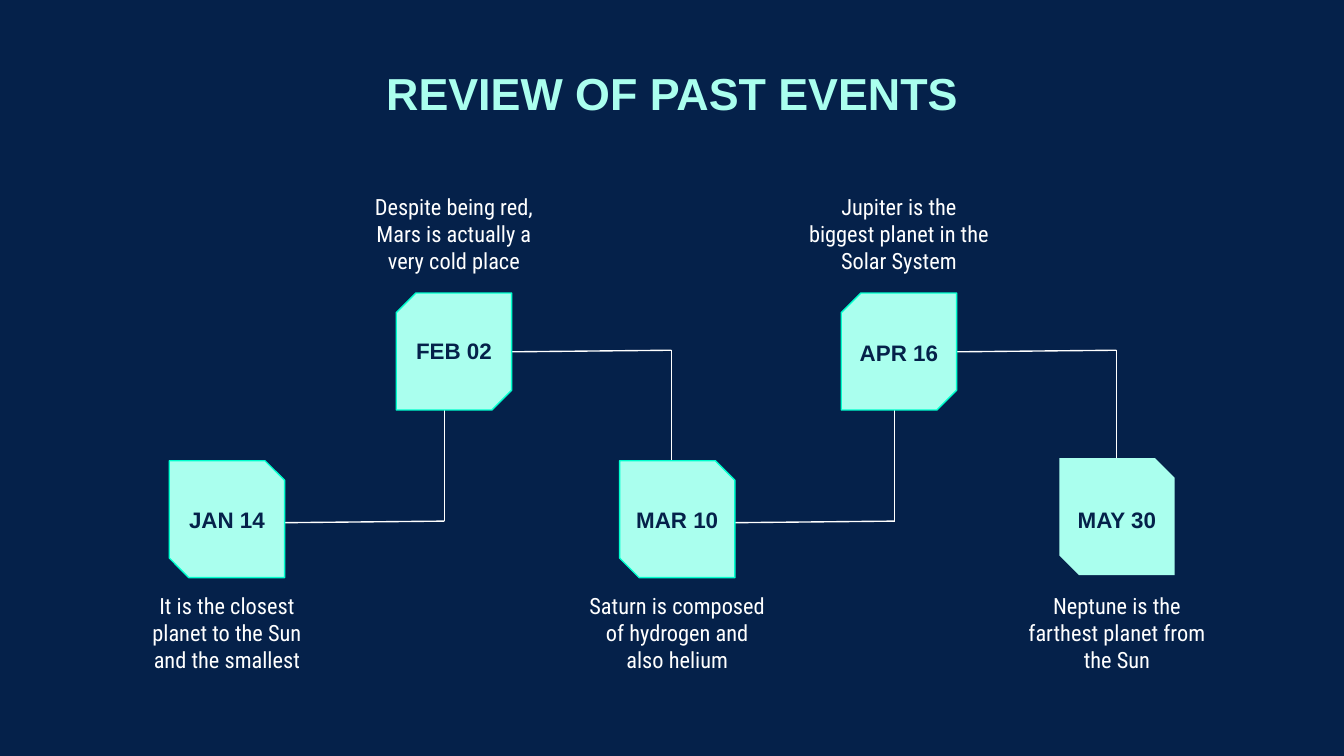
from lxml.etree import SubElement
from pptx import Presentation
from pptx.dml.color import RGBColor
from pptx.enum.shapes import MSO_CONNECTOR as Connector, MSO_SHAPE as Shape
from pptx.enum.text import MSO_ANCHOR as Anchor, MSO_AUTO_SIZE as AutoSize, PP_ALIGN as Align
from pptx.oxml.ns import qn
from pptx.util import Cm, Pt

NAVY = RGBColor(0x05, 0x21, 0x4A)
MINT = RGBColor(0xAA, 0xFF, 0xEE)
TEAL = RGBColor(0x00, 0xFF, 0xCD)
WHITE = RGBColor(0xFF, 0xFF, 0xFF)

CARD_WIDTH, CARD_HEIGHT = 2.18, 2.21
CAPTION_WIDTH, CAPTION_HEIGHT = 3.91, 1.68
ELBOW_RUN, ELBOW_RISE, ELBOW_SLANT = 3.02, 2.54, 0.03
SNIP = 0.17


class TimelineSlide:
    heading_font = "Arial"
    body_font = "Roboto Condensed"
    line_width = Pt(0.75)

    def __init__(self, deck):
        self.slide = deck.slides.add_slide(deck.slide_layouts[5])
        fill = self.slide.background.fill
        fill.solid()
        fill.fore_color.rgb = NAVY

    def add_text(self, box, text, font, size, color, bold=False):
        frame = box.text_frame
        frame.word_wrap = True
        frame.auto_size = AutoSize.NONE
        frame.vertical_anchor = Anchor.TOP
        frame.margin_left = frame.margin_right = Cm(0.25)
        frame.margin_top = frame.margin_bottom = Cm(0.25)
        para = frame.paragraphs[0]
        para.alignment = Align.CENTER
        span = para.add_run()
        span.text = text
        span.font.name = font
        span.font.size = Pt(size)
        span.font.bold = bold
        span.font.color.rgb = color

    def title(self, text, left, top, width, height):
        box = self.slide.shapes.title
        box.left, box.top, box.width, box.height = map(Cm, (left, top, width, height))
        self.add_text(box, text, self.heading_font, 24, MINT, True)

    def date(self, text, left, top):
        box = self.slide.shapes.add_textbox(Cm(left), Cm(top), Cm(CARD_WIDTH), Cm(1.09))
        self.add_text(box, text, self.heading_font, 12, NAVY, True)

    def caption(self, text, left, top):
        box = self.slide.shapes.add_textbox(
            Cm(left), Cm(top), Cm(CAPTION_WIDTH), Cm(CAPTION_HEIGHT))
        self.add_text(box, text, self.body_font, 12, WHITE)

    def card(self, left, top, raised, outlined):
        card = self.slide.shapes.add_shape(
            Shape.SNIP_2_DIAG_RECTANGLE,
            Cm(left), Cm(top), Cm(CARD_WIDTH), Cm(CARD_HEIGHT))
        card.adjustments[0] = SNIP if raised else 0
        card.adjustments[1] = 0 if raised else SNIP
        card.shadow.inherit = False
        card.fill.solid()
        card.fill.fore_color.rgb = MINT
        if outlined:
            card.line.color.rgb = TEAL
            card.line.width = self.line_width
        else:
            card.line.fill.background()

    def line(self, start, end):
        line = self.slide.shapes.add_connector(
            Connector.STRAIGHT, *map(Cm, (*start, *end)))
        line.line.color.rgb = WHITE
        line.line.width = self.line_width
        SubElement(line._element.spPr, qn("a:effectLst"))

    def elbow(self, left, top, rise):
        corner = (left + ELBOW_RUN, top - ELBOW_SLANT)
        self.line((left, top), corner)
        self.line(corner, (corner[0], corner[1] + rise))


EVENTS = [
    ("JAN 14", "It is the closest planet to the Sun and the smallest", 3.2, 8.71, 9.32),
    ("FEB 02", "Despite being red, Mars is actually a very cold place", 7.49, 5.54, 6.12),
    ("MAR 10", "Saturn is composed of hydrogen and also helium", 11.71, 8.71, 9.32),
    ("APR 16", "Jupiter is the biggest planet in the Solar System", 15.9, 5.54, 6.17),
    ("MAY 30", "Neptune is the farthest planet from the Sun", 20.02, 8.66, 9.32),
]


def main():
    deck = Presentation()
    deck.slide_width, deck.slide_height = Cm(25.4), Cm(14.29)
    timeline = TimelineSlide(deck)
    timeline.title("REVIEW OF PAST EVENTS", 5.46, 0.99, 14.48, 2.62)

    last = len(EVENTS) - 1
    for index, (_, _, left, _, _) in enumerate(EVENTS[:last]):
        raised = index % 2 == 1
        timeline.elbow(left + CARD_WIDTH, 6.65 if raised else 9.88,
                       ELBOW_RISE if raised else -ELBOW_RISE)

    for index, (date, caption, left, top, date_top) in enumerate(EVENTS):
        raised = index % 2 == 1
        timeline.card(left, top, raised, outlined=index < last)
        timeline.date(date, left, date_top)
        timeline.caption(caption, left - (CAPTION_WIDTH - CARD_WIDTH) / 2,
                         3.4 if raised else 10.95)

    deck.save("out.pptx")


if __name__ == "__main__":
    main()
